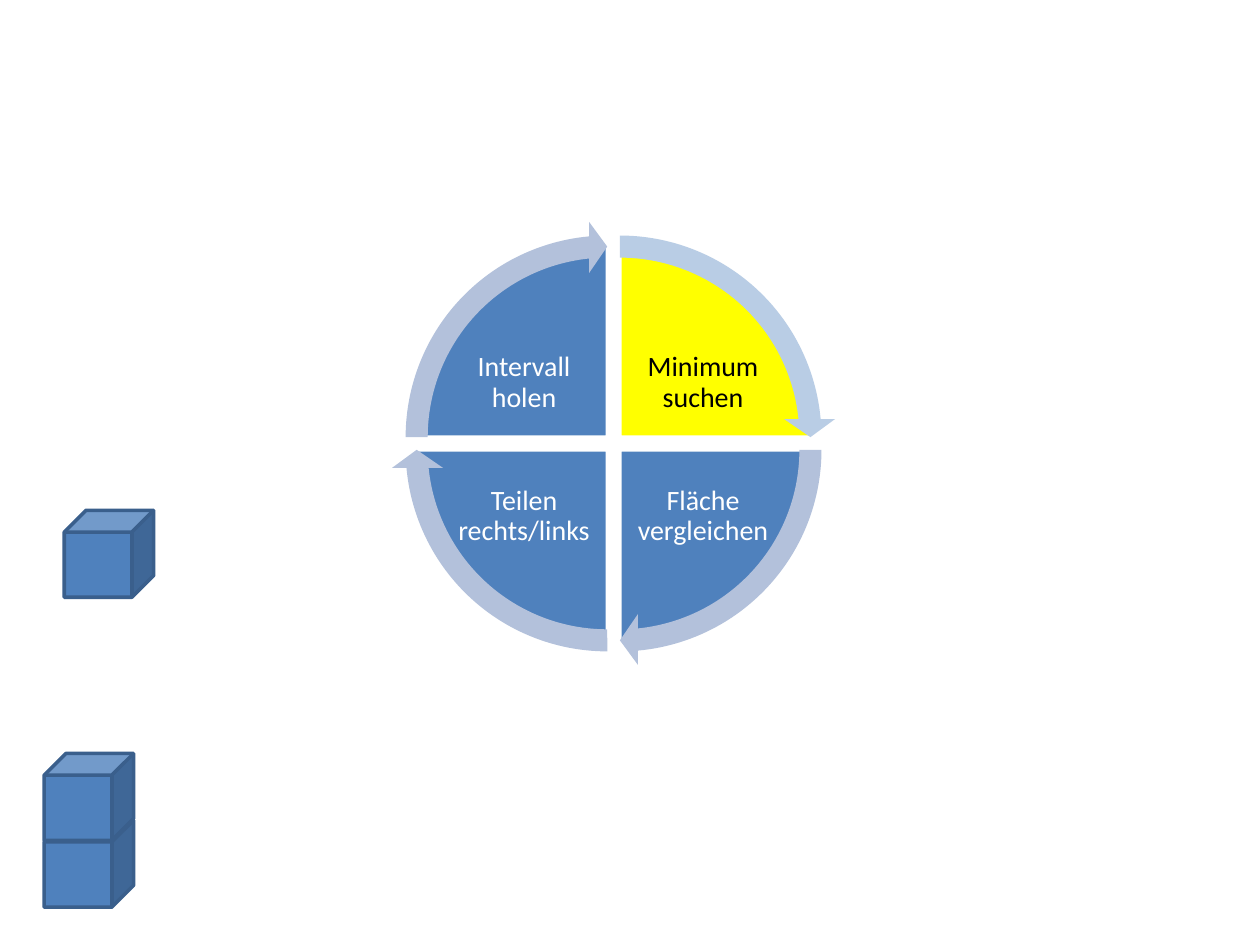
import pptx
import pptx.util
import pptx.dml.color
import pptx.enum.shapes
import pptx.enum.text

Inches = pptx.util.Inches
Pt = pptx.util.Pt
SHAPE = pptx.enum.shapes.MSO_SHAPE

BLUE = "4F81BD"
WHITE = "FFFFFF"
CUBES = [(0.51, 4.05), (0.35, 6.51), (0.35, 5.98)]
STEPS = [
    ("Minimum suchen", 1, -1, 162, "FFFF00", "000000", "B9CDE5"),
    ("Fläche vergleichen", 1, 1, 0, BLUE, WHITE, "B3C1DB"),
    ("Teilen rechts/links", -1, 1, 54, BLUE, WHITE, "B3C1DB"),
    ("Intervall holen", -1, -1, 108, BLUE, WHITE, "B3C1DB"),
]
CENTER_X, CENTER_Y = 4.87, 3.52
PIE_SIZE, ARROW_SIZE = 3.05, 3.43
GAP = 0.05
LABEL_W, LABEL_H = 1.13, 0.84
QUARTER, FULL = 54, 216


def rgb(color):
    return pptx.dml.color.RGBColor.from_string(color)


def add_shape(shapes, kind, x, y, w, h, fill, line=None, adjustments=()):
    sp = shapes.add_shape(kind, Inches(x), Inches(y), Inches(w), Inches(h))
    sp.shadow.inherit = False
    sp.fill.solid()
    sp.fill.fore_color.rgb = rgb(fill)
    if line:
        sp.line.color.rgb = rgb(line)
        sp.line.width = Pt(2)
    else:
        sp.line.fill.background()
    for i, value in enumerate(adjustments):
        sp.adjustments[i] = value
    return sp


def add_label(shapes, text, x, y, color):
    box = shapes.add_textbox(Inches(x), Inches(y), Inches(LABEL_W), Inches(LABEL_H))
    tf = box.text_frame
    tf.word_wrap = True
    tf.vertical_anchor = pptx.enum.text.MSO_ANCHOR.MIDDLE
    tf.margin_left = tf.margin_right = tf.margin_top = tf.margin_bottom = Inches(0.02)
    tf.text = text
    p = tf.paragraphs[0]
    p.alignment = pptx.enum.text.PP_ALIGN.CENTER
    p.line_spacing = 0.9
    font = p.runs[0].font
    font.name = "Calibri"
    font.size = Pt(16)
    font.color.rgb = rgb(color)


def add_cycle(shapes):
    for text, dx, dy, start, fill, color, _ in STEPS:
        x, y = CENTER_X + dx * GAP, CENTER_Y + dy * GAP
        add_shape(shapes, SHAPE.PIE, x - PIE_SIZE / 2, y - PIE_SIZE / 2,
                  PIE_SIZE, PIE_SIZE, fill, WHITE, (start, (start + QUARTER) % FULL))
        add_label(shapes, text, CENTER_X + dx * 0.71 - LABEL_W / 2,
                  CENTER_Y + dy * 0.53 + 0.05 - LABEL_H / 2, color)
    for _, dx, dy, start, _, _, arrow in STEPS:
        x, y = CENTER_X + dx * GAP, CENTER_Y + dy * GAP
        add_shape(shapes, SHAPE.CIRCULAR_ARROW, x - ARROW_SIZE / 2, y - ARROW_SIZE / 2,
                  ARROW_SIZE, ARROW_SIZE, arrow,
                  adjustments=(0.051, 3.275, start + 50.725, start, 0.059))


def main():
    prs = pptx.Presentation()
    prs.slide_width, prs.slide_height = Inches(10), Inches(7.5)
    s = prs.slides.add_slide(prs.slide_layouts[6])
    for x, y in CUBES:
        add_shape(s.shapes, SHAPE.CUBE, x, y, 0.71, 0.69, BLUE, "3A5F8C")
    add_cycle(s.shapes.add_group_shape().shapes)
    prs.save("out.pptx")


if __name__ == "__main__":
    main()
